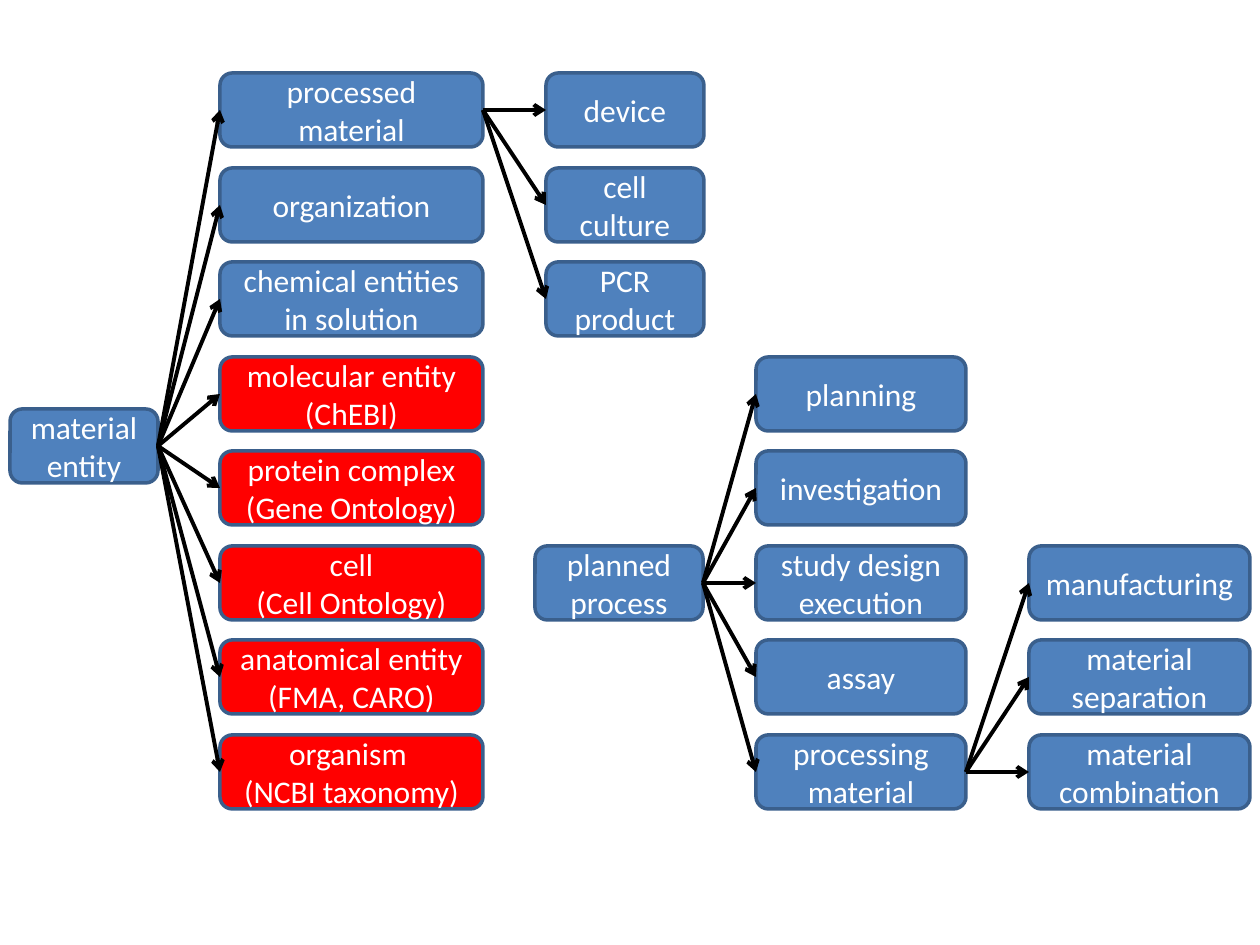
from lxml import etree
from pptx import Presentation
from pptx import util as u
from pptx.dml.color import RGBColor
from pptx.enum import shapes, text
from pptx.oxml.ns import qn

SCALE = 914400 // 126
COLORS = {"blue": "4F81BD", "red": "FF0000", "border": "3A5F8C",
          "text": "FFFFFF", "arrow": "000000"}
BOX_HEIGHT = 74
LEFT_SITE, RIGHT_SITE = 1, 3


def row_top(row):
    return (147 + 189 * row) // 2


class Diagram:
    font = "Calibri"
    font_size = 18
    border_width = 2
    arrow_width = 2.25

    def __init__(self, slide):
        self.slide = slide

    def color(self, name):
        return RGBColor.from_string(COLORS[name])

    def box(self, label, left, top, width, fill="blue"):
        shape = self.slide.shapes.add_shape(
            shapes.MSO_SHAPE.ROUNDED_RECTANGLE,
            *(u.Emu(n * SCALE) for n in (left, top, width, BOX_HEIGHT)))
        shape.shadow.inherit = False
        shape.fill.solid()
        shape.fill.fore_color.rgb = self.color(fill)
        shape.line.color.rgb = self.color("border")
        shape.line.width = u.Pt(self.border_width)
        frame = shape.text_frame
        frame.word_wrap = True
        frame.vertical_anchor = text.MSO_ANCHOR.MIDDLE
        paragraph = frame.paragraphs[0]
        paragraph.alignment = text.PP_ALIGN.CENTER
        for index, line in enumerate(label.split("\n")):
            if index:
                paragraph.add_line_break()
            run = paragraph.add_run()
            run.text = line
            run.font.name = self.font
            run.font.size = u.Pt(self.font_size)
            run.font.color.rgb = self.color("text")
        return shape

    def column(self, labels, left, first_row, width, fill="blue"):
        return [self.box(label, left, row_top(row), width, fill)
                for row, label in enumerate(labels, first_row)]

    def arrow(self, parent, child):
        connector = self.slide.shapes.add_connector(
            shapes.MSO_CONNECTOR.STRAIGHT, 0, 0, 0, 0)
        connector.begin_connect(parent, RIGHT_SITE)
        connector.end_connect(child, LEFT_SITE)
        connector.line.color.rgb = self.color("arrow")
        connector.line.width = u.Pt(self.arrow_width)
        line = connector.line._get_or_add_ln()
        etree.SubElement(line, qn("a:tailEnd"), type="arrow")
        etree.SubElement(connector._element.spPr, qn("a:effectLst"))

    def branch(self, parent, children):
        for child in children:
            self.arrow(parent, child)


presentation = Presentation()
presentation.slide_width = u.Inches(10)
presentation.slide_height = u.Inches(7.5)
diagram = Diagram(presentation.slides.add_slide(presentation.slide_layouts[6]))

material_entity = diagram.box("material entity", 10, 409, 148)
materials = diagram.column(
    ["processed material", "organization", "chemical entities in solution"],
    220, 0, 263)
external_entities = diagram.column(
    ["molecular entity (ChEBI)", "protein complex\n(Gene Ontology)",
     "cell\n(Cell Ontology)", "anatomical entity (FMA, CARO)",
     "organism \n(NCBI taxonomy)"],
    220, 3, 263, "red")
processed_kinds = diagram.column(
    ["device", "cell culture", "PCR product"], 546, 0, 158)

planned_process = diagram.box("planned process", 535, row_top(5), 168)
processes = diagram.column(
    ["planning", "investigation", "study design execution", "assay",
     "processing material"],
    756, 3, 210)
processing_kinds = diagram.column(
    ["manufacturing", "material separation", "material combination"],
    1029, 5, 221)

diagram.branch(material_entity, materials + external_entities)
diagram.branch(materials[0], processed_kinds)
diagram.branch(planned_process, processes)
diagram.branch(processes[-1], processing_kinds)

presentation.save("out.pptx")
